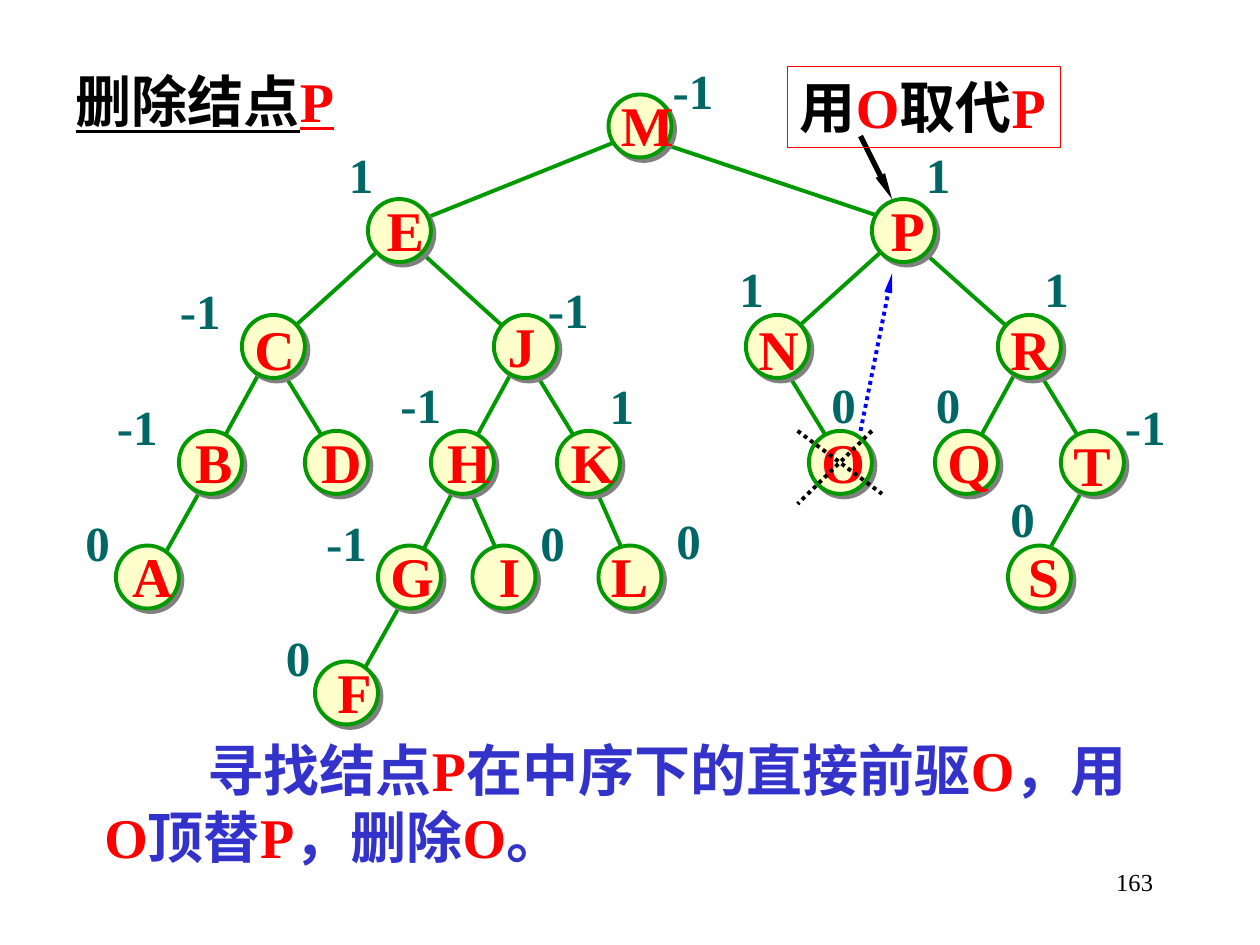
from dataclasses import dataclass

from lxml import etree
from pptx import Presentation
from pptx import util as u
from pptx.dml.color import RGBColor
from pptx.enum import dml, shapes, text
from pptx.oxml.ns import qn

BLACK = RGBColor(0x00, 0x00, 0x00)
RED = RGBColor(0xFF, 0x00, 0x00)
BLUE = RGBColor(0x00, 0x00, 0xFF)
INDIGO = RGBColor(0x33, 0x33, 0xCC)
GREEN = RGBColor(0x00, 0x99, 0x00)
TEAL = RGBColor(0x00, 0x66, 0x66)
CREAM = RGBColor(0xFF, 0xFF, 0xCC)

FONT = "Times New Roman"
HEADING = {"name": FONT, "size": u.Pt(32), "bold": True}
BALANCE = {"name": FONT, "size": u.Pt(28), "bold": True}
PAGE_NUMBER = {"name": FONT, "size": u.Pt(14)}

DIAMETER = 0.5
LEVEL_TOPS = (0.75, 1.58, 2.5, 3.42, 4.33, 5.25)


@dataclass
class Node:
    letter: str
    level: int
    left: float
    letter_left: float
    letter_width: float
    balance: str = ""
    balance_left: float = 0
    balance_top: float = 0
    letter_rise: float = 0.08


@dataclass
class Line:
    start: tuple[float, float]
    end: tuple[float, float]
    color: RGBColor = GREEN
    width: float = 2.25
    dotted: bool = False
    arrow: bool = False


NODES = (
    Node("M", 0, 4.83, 4.83, 0.62, "-1", 5.24, 0.43),
    Node("E", 1, 2.92, 2.97, 0.5, "1", 2.67, 1.1),
    Node("P", 1, 6.92, 6.97, 0.47, "1", 7.25, 1.1),
    Node("C", 2, 1.92, 1.92, 0.52, "-1", 1.33, 2.18, 0.05),
    Node("J", 2, 3.92, 3.93, 0.42, "-1", 4.25, 2.17),
    Node("N", 2, 5.92, 5.92, 0.52, "1", 5.77, 2, 0.05),
    Node("R", 2, 7.92, 7.92, 0.52, "1", 8.19, 2, 0.05),
    Node("B", 3, 1.42, 1.45, 0.5, "-1", 0.83, 3.1),
    Node("D", 3, 2.42, 2.45, 0.52),
    Node("H", 3, 3.42, 3.45, 0.55, "-1", 3.08, 2.92),
    Node("K", 3, 4.42, 4.43, 0.55, "1", 4.74, 2.93),
    Node("O", 3, 6.42, 6.42, 0.55, "0", 6.5, 2.92),
    Node("Q", 3, 7.42, 7.42, 0.55, "0", 7.33, 2.92),
    Node("T", 3, 8.42, 8.42, 0.5, "-1", 8.83, 3.1, 0.05),
    Node("A", 4, 0.92, 0.95, 0.52, "0", 0.58, 4.02),
    Node("G", 4, 3, 3, 0.55, "-1", 2.49, 4.02),
    Node("I", 4, 3.75, 3.86, 0.38, "0", 4.19, 4.02),
    Node("L", 4, 4.75, 4.75, 0.5, "0", 5.27, 4),
    Node("S", 4, 8, 8.06, 0.45, "0", 7.92, 3.83),
    Node("F", 5, 2.5, 2.58, 0.47, "0", 2.17, 4.93),
)

BRANCHES = (
    Line((5, 1.08), (3.33, 1.75)),
    Line((5.08, 1.08), (7.08, 1.75)),
    Line((3.08, 1.92), (2.25, 2.67)),
    Line((3.25, 1.92), (4.08, 2.67)),
    Line((7.08, 1.92), (6.25, 2.67)),
    Line((7.33, 2), (8.17, 2.75)),
    Line((2.08, 2.92), (1.67, 3.67)),
    Line((2.17, 2.83), (2.58, 3.5)),
    Line((4.08, 2.92), (3.67, 3.67)),
    Line((4.17, 2.83), (4.58, 3.5)),
    Line((6.17, 2.83), (6.58, 3.5)),
    Line((8.08, 2.92), (7.67, 3.67)),
    Line((8.17, 2.83), (8.58, 3.5)),
    Line((1.67, 3.75), (1.25, 4.5)),
    Line((3.67, 3.75), (3.25, 4.58)),
    Line((3.67, 3.75), (4, 4.5)),
    Line((4.67, 3.75), (5, 4.5)),
    Line((8.67, 3.75), (8.25, 4.5)),
    Line((3.25, 4.67), (2.83, 5.42)),
)

MARKS = (
    Line((6.83, 1.08), (7.08, 1.58), BLACK, 3, arrow=True),
    Line((6.83, 3.42), (7.08, 2.17), BLUE, dotted=True, arrow=True),
    Line((6.92, 3.42), (6.33, 4), BLACK, dotted=True),
    Line((6.33, 3.42), (7, 3.92), BLACK, dotted=True),
)


def inches(*lengths: float) -> list:
    return [u.Inches(length) for length in lengths]


def write(box, parts: list, style: dict, align=text.PP_ALIGN.LEFT):
    """Fill the box with one paragraph of (words, colour) parts."""
    frame = box.text_frame
    settings = {"word_wrap": True, "auto_size": text.MSO_AUTO_SIZE.NONE,
                "vertical_anchor": text.MSO_ANCHOR.TOP}
    for name, value in settings.items():
        setattr(frame, name, value)
    para = frame.paragraphs[0]
    para.alignment = align
    for words, color in parts:
        span = para.add_run()
        span.text = words
        for name, value in style.items():
            setattr(span.font, name, value)
        span.font.color.rgb = color
    return para


def add_text(page, place: tuple, parts: list, style: dict, **options):
    return write(page.shapes.add_textbox(*inches(*place)), parts, style, **options)


def draw_line(page, line: Line) -> None:
    connector = page.shapes.add_connector(
        shapes.MSO_CONNECTOR.STRAIGHT, *inches(*line.start, *line.end))
    connector.line.color.rgb = line.color
    connector.line.width = u.Pt(line.width)
    if line.dotted:
        connector.line.dash_style = dml.MSO_LINE.ROUND_DOT
    properties = connector.element.spPr
    if line.arrow:
        etree.SubElement(properties.find(qn("a:ln")), qn("a:tailEnd"),
                         type="triangle", w="sm", len="lg")
    etree.SubElement(properties, qn("a:effectLst"))


def draw_circle(page, node: Node) -> None:
    circle = page.shapes.add_shape(
        shapes.MSO_SHAPE.OVAL,
        *inches(node.left, LEVEL_TOPS[node.level], DIAMETER, DIAMETER))
    circle.fill.solid()
    circle.fill.fore_color.rgb = CREAM
    circle.line.color.rgb = GREEN
    circle.line.width = u.Pt(2.25)
    effects = etree.SubElement(circle.element.spPr, qn("a:effectLst"))
    shadow = etree.SubElement(effects, qn("a:outerShdw"), dist=str(u.Pt(2.8)),
                              dir="2700000", algn="ctr", rotWithShape="0")
    etree.SubElement(shadow, qn("a:srgbClr"), val="808080")


def label_node(page, node: Node) -> None:
    top = LEVEL_TOPS[node.level] - node.letter_rise
    add_text(page, (node.letter_left, top, node.letter_width, 0.63),
             [(node.letter, RED)], HEADING)
    if node.balance:
        width = 0.53 if node.balance == "-1" else 0.4
        add_text(page, (node.balance_left, node.balance_top, width, 0.57),
                 [(node.balance, TEAL)], BALANCE)


def draw_callout(page) -> None:
    box = page.shapes.add_shape(shapes.MSO_SHAPE.RECTANGLE,
                                *inches(6.25, 0.53, 2.17, 0.64))
    box.shadow.inherit = False
    box.fill.background()
    box.line.color.rgb = RED
    box.line.width = u.Pt(0.75)
    write(box, [("用", BLACK), ("O", RED), ("取代", BLACK), ("P", RED)], HEADING)


def main() -> None:
    deck = Presentation()
    deck.slide_width, deck.slide_height = inches(10, 7.5)
    page = deck.slides.add_slide(deck.slide_layouts[5])

    title = page.shapes.title
    title.left, title.top, title.width, title.height = inches(0.5, 0.48, 2.26, 0.63)
    write(title, [("删除结点", BLACK), ("P", RED)], HEADING | {"underline": True})

    for branch in BRANCHES:
        draw_line(page, branch)
    for node in NODES:
        draw_circle(page, node)
    for node in NODES:
        label_node(page, node)

    caption = add_text(page, (0.73, 5.79, 8.52, 1.17), [
        ("寻找结点", INDIGO), ("P", RED), ("在中序下的直接前驱", INDIGO), ("O", RED),
        ("，用", INDIGO), ("O", RED), ("顶替", INDIGO), ("P", RED),
        ("，删除", INDIGO), ("O", RED), ("。", INDIGO)], HEADING)
    caption._p.get_or_add_pPr().set("indent", str(u.Inches(0.82)))

    for mark in MARKS:
        draw_line(page, mark)
    draw_callout(page)
    add_text(page, (7.17, 6.83, 2.08, 0.5), [("163", BLACK)], PAGE_NUMBER,
             align=text.PP_ALIGN.RIGHT)
    deck.save("out.pptx")


if __name__ == "__main__":
    main()
